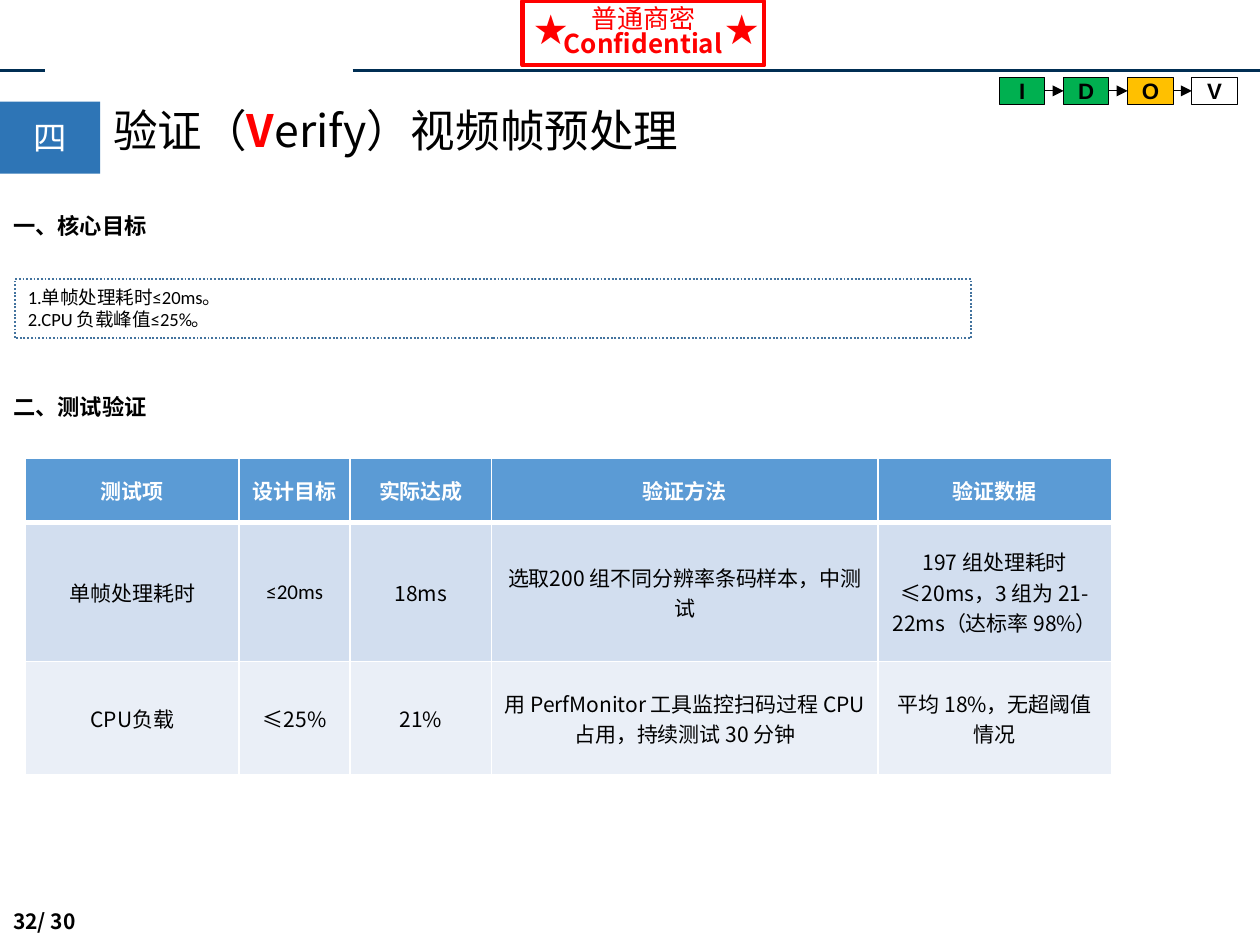
from lxml import etree
from pptx import Presentation
from pptx.dml.color import RGBColor
from pptx.enum.dml import MSO_LINE
from pptx.enum.shapes import MSO_CONNECTOR, MSO_SHAPE
from pptx.enum.text import MSO_ANCHOR, PP_ALIGN
from pptx.oxml.ns import qn
from pptx.util import Inches, Pt

RECTANGLE = MSO_SHAPE.RECTANGLE
STRAIGHT = MSO_CONNECTOR.STRAIGHT
LEFT, CENTER = PP_ALIGN.LEFT, PP_ALIGN.CENTER
TOP, MIDDLE = MSO_ANCHOR.TOP, MSO_ANCHOR.MIDDLE
DOTTED = MSO_LINE.ROUND_DOT
LEFT_SIDE, RIGHT_SIDE = 1, 3

WIDTH, HEIGHT = 9.43, 7.07
NOTO, CALIBRI, ARIAL = "Noto Sans CJK SC", "Calibri", "Arial"
COLORS = {
    "black": "000000", "white": "FFFFFF", "red": "FF0000", "navy": "002E53",
    "green": "00B050", "amber": "FFC000", "badge": "2E75B6", "dots": "43739E",
    "header": "5B9BD5", "band 1": "D2DEEF", "band 2": "EAEFF7",
}

RULES = [(0, 0.34), (2.64, WIDTH)]
RULE_TOP = 0.53
SECRECY = ["普通商密", "Confidential"]
STAR_LEFTS = [3.9, 5.33]
STAGES = [("I", "green"), ("D", "green"), ("O", "amber"), ("V", None)]
STAGE_LEFT, STAGE_TOP, STAGE_STEP = 7.48, 0.58, 0.48
STAGE_SIZE = (0.34, 0.2)
TITLE = [("验证（", "black", False), ("V", "red", True),
         ("erify）视频帧预处理", "black", False)]
HEADINGS = [("一、核心目标", 1.54), ("二、测试验证", 2.89)]
GOALS = ["1.单帧处理耗时≤20ms。", "2.CPU 负载峰值≤25%。"]
PAGE_NUMBER = "32/ 30"

TABLE_PLACE = (0.19, 3.43)
COLUMNS = [1.6, 0.83, 1.06, 2.89, 1.75]
ROWS = [0.48, 1.04, 0.85]
ROW_FILLS = ["header", "band 1", "band 2"]
TESTS = [
    ["测试项", "设计目标", "实际达成", "验证方法", "验证数据"],
    ["单帧处理耗时", "≤20ms", "18ms", "选取200 组不同分辨率条码样本，中测试",
     "197 组处理耗时≤20ms，3 组为 21-22ms（达标率 98%）"],
    ["CPU负载", "≤25%", "21%",
     "用 PerfMonitor 工具监控扫码过程 CPU 占用，持续测试 30 分钟",
     "平均 18%，无超阈值情况"],
]
CALIBRI_CELL = (1, 1)


def rgb(color):
    return RGBColor.from_string(COLORS[color])


def style(span, size, font=NOTO, color="black", bold=False):
    """Set the look of a run, East Asian letters included."""
    span.font.size = Pt(size)
    span.font.name = font
    span.font.bold = bold
    span.font.color.rgb = rgb(color)
    east_asian = etree.SubElement(span._r.rPr, qn("a:ea"))
    east_asian.set("typeface", font)


def write(frame, lines, size, font=NOTO, color="black", bold=False,
          align=LEFT, anchor=TOP, spacing=1.0):
    frame.word_wrap = True
    frame.vertical_anchor = anchor
    frame.text = "\n".join(lines)
    for para in frame.paragraphs:
        para.alignment = align
        para.line_spacing = spacing
        for span in para.runs:
            style(span, size, font, color, bold)


def add_text(page, place, lines, size, **look):
    box = page.shapes.add_textbox(*map(Inches, place))
    write(box.text_frame, lines, size, **look)
    return box


def add_rectangle(page, place, fill=None, line=None, weight=1):
    box = page.shapes.add_shape(RECTANGLE, *map(Inches, place))
    box.shadow.inherit = False
    if fill:
        box.fill.solid()
        box.fill.fore_color.rgb = rgb(fill)
    else:
        box.fill.background()
    if line:
        box.line.color.rgb = rgb(line)
        box.line.width = Pt(weight)
    else:
        box.line.fill.background()
    return box


def add_line(page, start, end, color, weight):
    line = page.shapes.add_connector(STRAIGHT, *map(Inches, start + end))
    line.line.color.rgb = rgb(color)
    line.line.width = Pt(weight)
    etree.SubElement(line._element.spPr, qn("a:effectLst"))
    return line


def add_secrecy_mark(page):
    mark = add_rectangle(page, (3.91, 0.01, 1.81, 0.48), line="red", weight=2.25)
    write(mark.text_frame, SECRECY, 14, color="red", align=CENTER,
          anchor=MIDDLE, spacing=0.8)
    mark.text_frame.paragraphs[1].runs[0].font.bold = True
    for left in STAR_LEFTS:
        add_text(page, (left, 0.07, 0.49, 0.4), ["★"], 18, color="red", spacing=0.83)


def add_stages(page):
    boxes = []
    for index, (letter, fill) in enumerate(STAGES):
        left = STAGE_LEFT + index * STAGE_STEP
        box = add_rectangle(page, (left, STAGE_TOP, *STAGE_SIZE), fill, "black", 0.5)
        frame = box.text_frame
        frame.margin_left = frame.margin_right = 0
        frame.margin_top = frame.margin_bottom = 0
        write(frame, [letter], 12, ARIAL, bold=True, align=CENTER, anchor=MIDDLE)
        boxes.append(box)
    for before, after in zip(boxes, boxes[1:]):
        arrow = add_line(page, (0, 0), (0, 0), "black", 0.5)
        arrow.begin_connect(before, RIGHT_SIDE)
        arrow.end_connect(after, LEFT_SIDE)
        etree.SubElement(arrow.line._get_or_add_ln(), qn("a:tailEnd"), type="triangle")


def add_title(page):
    badge = add_rectangle(page, (0, 0.76, 0.75, 0.54), "badge")
    write(badge.text_frame, ["四"], 18, color="white", align=CENTER, anchor=MIDDLE)
    box = page.shapes.add_textbox(*map(Inches, (0.75, 0.77, 5.43, 0.5)))
    box.text_frame.word_wrap = True
    para = box.text_frame.paragraphs[0]
    para.line_spacing = 0.9
    for text, color, bold in TITLE:
        span = para.add_run()
        span.text = text
        style(span, 24, color=color, bold=bold)


def set_borders(cell, bottom):
    properties = cell._tc.get_or_add_tcPr()
    sides = {"lnL": 1, "lnR": 1, "lnT": 1, "lnB": bottom}
    for position, (side, weight) in enumerate(sides.items()):
        border = etree.Element(qn("a:" + side), w=str(Pt(weight)))
        fill = etree.SubElement(border, qn("a:solidFill"))
        etree.SubElement(fill, qn("a:srgbClr"), val=COLORS["white"])
        properties.insert(position, border)


def add_tests(page):
    size = (sum(COLUMNS), sum(ROWS))
    table = page.shapes.add_table(len(ROWS), len(COLUMNS),
                                  *map(Inches, TABLE_PLACE + size)).table
    for column, width in zip(table.columns, COLUMNS):
        column.width = Inches(width)
    for r, (height, fill) in enumerate(zip(ROWS, ROW_FILLS)):
        table.rows[r].height = Inches(height)
        is_header = r == 0
        for c, text in enumerate(TESTS[r]):
            cell = table.cell(r, c)
            cell.vertical_anchor = MIDDLE
            cell.margin_left = cell.margin_right = Inches(0.09)
            cell.fill.solid()
            cell.fill.fore_color.rgb = rgb(fill)
            set_borders(cell, 3 if is_header else 1)
            para = cell.text_frame.paragraphs[0]
            para.text = text
            para.alignment = CENTER
            style(para.runs[0], 11.3, CALIBRI if (r, c) == CALIBRI_CELL else NOTO,
                  "white" if is_header else "black", is_header)


def main():
    deck = Presentation()
    deck.slide_width, deck.slide_height = Inches(WIDTH), Inches(HEIGHT)
    page = deck.slides.add_slide(deck.slide_layouts[6])
    for start, end in RULES:
        add_line(page, (start, RULE_TOP), (end, RULE_TOP), "navy", 1.5)
    add_text(page, (0, 6.78, 1.03, 0.29), [PAGE_NUMBER], 11.3, bold=True, spacing=0.83)
    add_secrecy_mark(page)
    add_stages(page)
    add_title(page)
    for heading, top in HEADINGS:
        add_text(page, (0, top, 1.67, 0.33), [heading], 12, font=CALIBRI, bold=True)
    add_tests(page)
    goals = add_rectangle(page, (0.11, 2.09, 7.16, 0.44), line="dots")
    goals.line.dash_style = DOTTED
    write(goals.text_frame, GOALS, 10, CALIBRI)
    deck.save("out.pptx")


if __name__ == "__main__":
    main()
